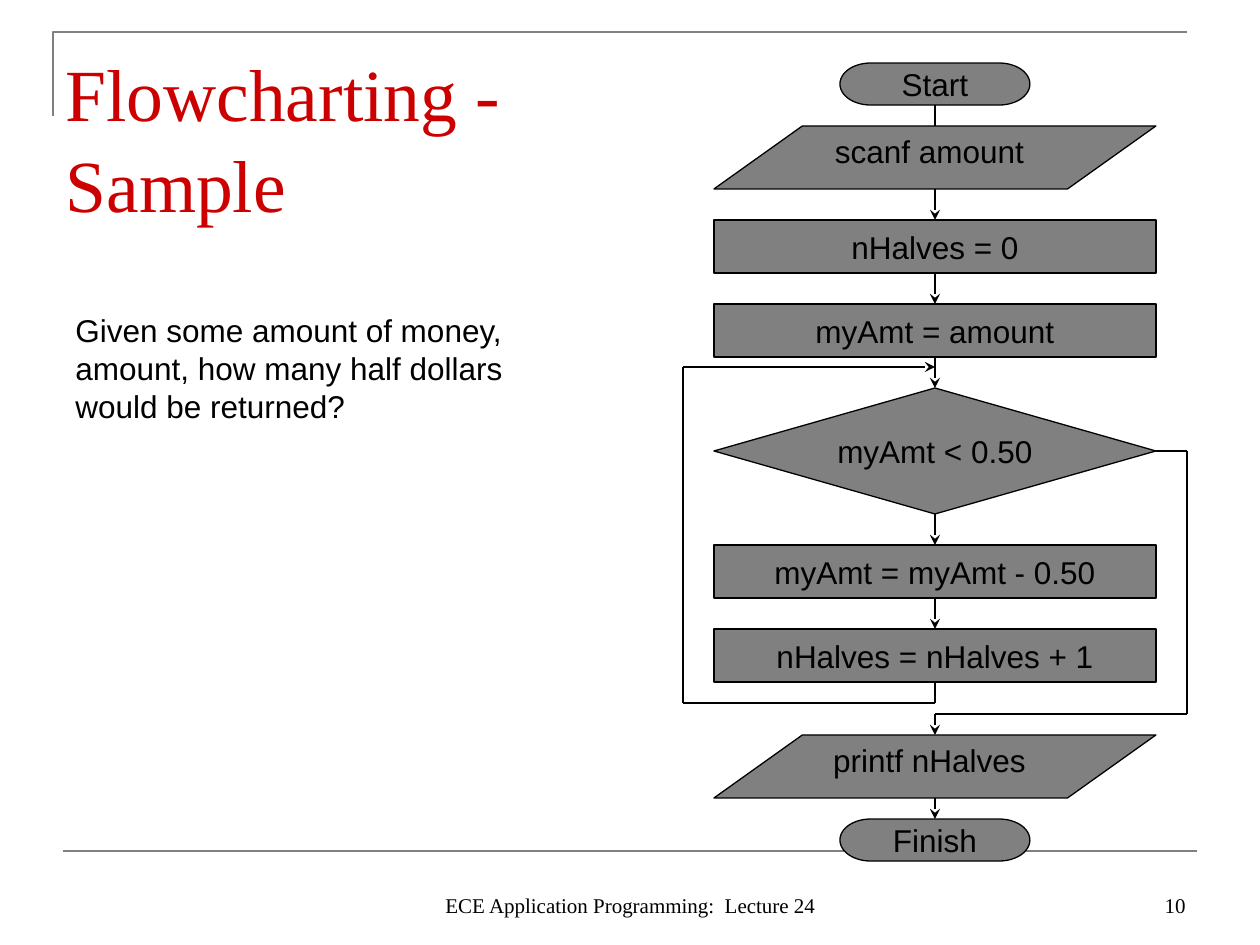
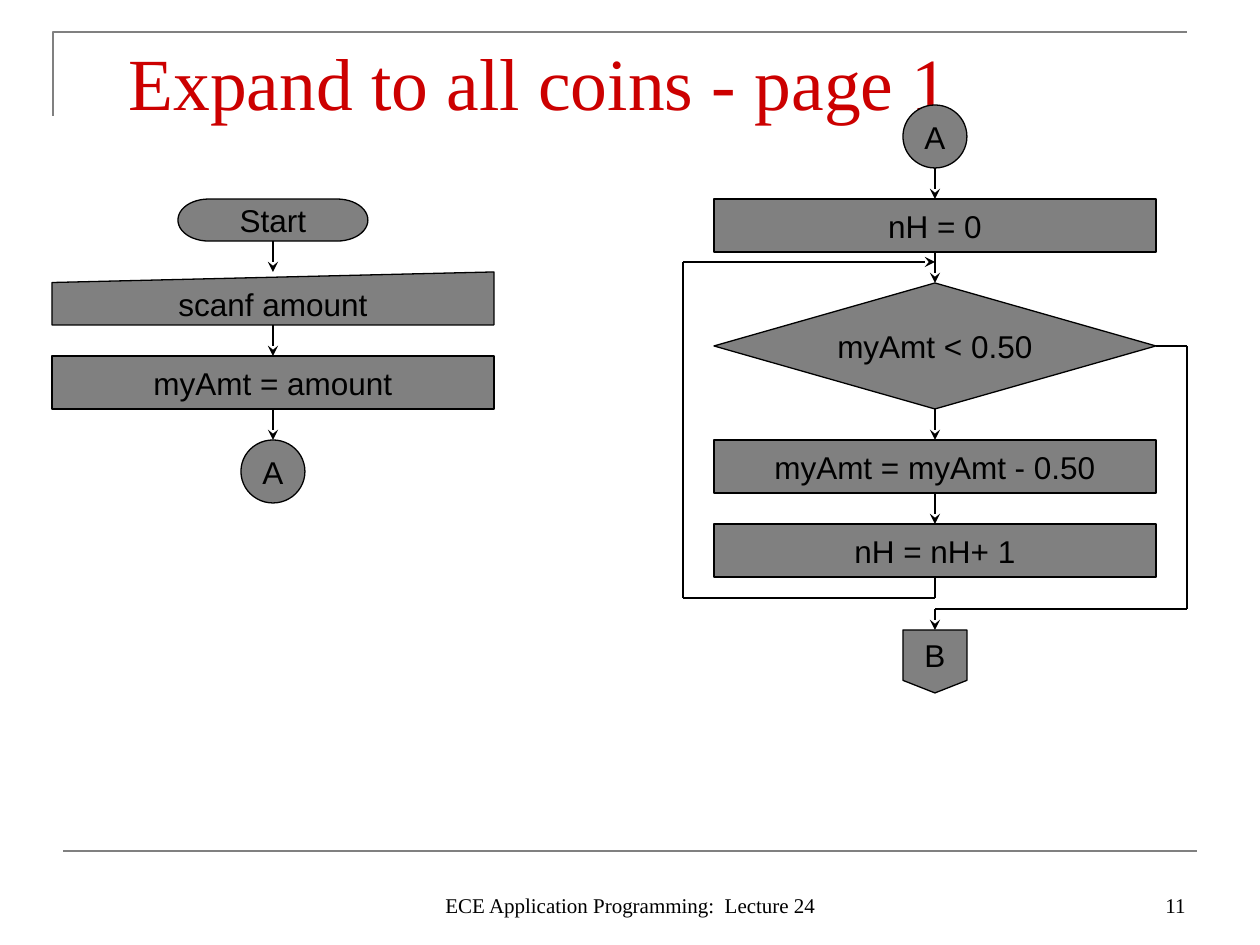
from itertools import pairwise

from lxml.etree import SubElement
from pptx import Presentation
from pptx.dml.color import RGBColor
from pptx.enum.shapes import MSO_CONNECTOR, MSO_SHAPE as SHAPE
from pptx.enum.text import MSO_ANCHOR as ANCHOR, MSO_AUTO_SIZE as AUTO, PP_ALIGN as ALIGN
from pptx.oxml.ns import qn
from pptx.util import Pt

PX = 914400 / 126
COLOURS = {"title": "CC0000", "frame": "808080", "node": "808080", "ink": "000000"}
SANS, SERIF = "Arial", "Times New Roman"
FOOTER = "ECE Application Programming:  Lecture 24"

GAP = 31
LEFT_COLUMN, RIGHT_COLUMN = 273, 935
LOOP_REACH = 252
STEP_WIDTH = 442
SIZES = {
    SHAPE.FLOWCHART_TERMINATOR: (190, 42),
    SHAPE.FLOWCHART_PROCESS: (STEP_WIDTH, 53),
    SHAPE.FLOWCHART_MANUAL_INPUT: (STEP_WIDTH, 53),
    SHAPE.FLOWCHART_DECISION: (STEP_WIDTH, 126),
    SHAPE.FLOWCHART_DATA: (STEP_WIDTH, 63),
    SHAPE.FLOWCHART_CONNECTOR: (64, 63),
    SHAPE.FLOWCHART_OFFPAGE_CONNECTOR: (64, 63),
}


def emu(*pixels):
    return [round(value * PX) for value in pixels]


def colour(name):
    return RGBColor.from_string(COLOURS[name])


def write(frame, text, size, font, ink="ink", align=ALIGN.LEFT, anchor=ANCHOR.TOP):
    frame.text = text
    frame.vertical_anchor = anchor
    paragraph = frame.paragraphs[0]
    paragraph.alignment = align
    for run in paragraph.runs:
        run.font.size = Pt(size)
        run.font.name = font
        run.font.color.rgb = colour(ink)


def add_text(shapes, box, text, size, font, **style):
    frame = shapes.add_textbox(*emu(*box)).text_frame
    frame.word_wrap = True
    write(frame, text, size, font, **style)
    return frame


def add_line(slide, start, end, ink="ink", width=1.25, arrow=False):
    line = slide.shapes.add_connector(MSO_CONNECTOR.STRAIGHT, *emu(*start, *end))
    line.line.color.rgb = colour(ink)
    line.line.width = Pt(width)
    if arrow:
        SubElement(line.line._get_or_add_ln(), qn("a:tailEnd"), type="stealth")
    SubElement(line._element.spPr, qn("a:effectLst"))


def add_route(slide, points, arrow=False):
    for start, end in pairwise(points):
        add_line(slide, start, end, arrow=arrow and end == points[-1])


def add_frame(slide):
    builder = slide.shapes.build_freeform(53, 116, scale=PX)
    builder.add_line_segments([(53, 32), (1187, 32)], close=False)
    corner = builder.convert_to_shape()
    corner.shadow.inherit = False
    corner.fill.background()
    corner.line.color.rgb = colour("frame")
    corner.line.width = Pt(1.5)
    add_line(slide, (63, 851), (1197, 851), "frame", 1.5)


def add_page(deck, title, title_box, number):
    slide = deck.slides.add_slide(deck.slide_layouts[5])
    add_frame(slide)
    heading = slide.shapes.title
    heading.left, heading.top, heading.width, heading.height = emu(*title_box)
    frame = heading.text_frame
    write(frame, title, 42, SERIF, "title")
    frame.word_wrap = True
    frame.auto_size = AUTO.NONE
    frame.margin_top = emu(12)[0]
    frame.paragraphs[0].line_spacing = 1.04
    add_text(slide.shapes, (904, 861, 294, 63), str(number), 12, SERIF,
             align=ALIGN.RIGHT, anchor=ANCHOR.BOTTOM)
    add_text(slide.shapes, (431, 861, 399, 63), FOOTER, 12, SERIF,
             align=ALIGN.CENTER, anchor=ANCHOR.BOTTOM)
    return slide


def add_node(shapes, kind, centre, top, text=""):
    width, height = SIZES[kind]
    node = shapes.add_shape(kind, *emu(centre - width // 2, top, width, height))
    node.shadow.inherit = False
    node.fill.solid()
    node.fill.fore_color.rgb = colour("node")
    node.line.color.rgb = colour("ink")
    node.line.width = Pt(0.74)
    if text:
        node.text_frame.word_wrap = False
        write(node.text_frame, text, 18, SANS, align=ALIGN.CENTER, anchor=ANCHOR.MIDDLE)
    return top + height


def add_data_step(slide, centre, top, text):
    group = slide.shapes.add_group_shape()
    bottom = add_node(group.shapes, SHAPE.FLOWCHART_DATA, centre, top)
    add_text(group.shapes, (centre - STEP_WIDTH // 2, top, 431, 50), text, 18, SANS,
             align=ALIGN.CENTER)
    return bottom


def add_column(slide, centre, top, steps):
    spans = []
    for kind, text in steps:
        if spans:
            add_line(slide, (centre, top - GAP), (centre, top), arrow=True)
        bottom = add_node(slide.shapes, kind, centre, top, text)
        spans.append((top, bottom))
        top = bottom + GAP
    return spans


def add_loop(slide, centre, decision, last_step):
    decision_top, decision_bottom = decision
    end = last_step[1]
    middle = (decision_top + decision_bottom) // 2
    left, right = centre - LOOP_REACH, centre + LOOP_REACH
    back, turn, leave, after = decision_top - 21, end + 21, end + 32, end + 53
    add_route(slide, [(centre, end), (centre, turn), (left, turn), (left, back),
                      (centre, back)], arrow=True)
    add_route(slide, [(centre + STEP_WIDTH // 2, middle), (right, middle), (right, leave),
                      (centre, leave), (centre, after)], arrow=True)
    return after


def build_sample(deck):
    slide = add_page(deck, "Flowcharting - Sample", (53, 32, 599, 168), 10)
    question = add_text(
        slide.shapes, (63, 305, 504, 126),
        "Given some amount of money, amount, how many half dollars would be returned?",
        18, SANS)
    question.paragraphs[0].space_before = Pt(11.2)

    centre = RIGHT_COLUMN
    start = add_node(slide.shapes, SHAPE.FLOWCHART_TERMINATOR, centre, 63, "Start")
    add_line(slide, (centre, start), (centre, start + GAP), arrow=True)
    read = add_data_step(slide, centre, 126, "scanf amount")
    add_line(slide, (centre, read), (centre, read + GAP), arrow=True)
    spans = add_column(slide, centre, read + GAP, [
        (SHAPE.FLOWCHART_PROCESS, "nHalves = 0"),
        (SHAPE.FLOWCHART_PROCESS, "myAmt = amount"),
        (SHAPE.FLOWCHART_DECISION, "myAmt < 0.50"),
        (SHAPE.FLOWCHART_PROCESS, "myAmt = myAmt - 0.50"),
        (SHAPE.FLOWCHART_PROCESS, "nHalves = nHalves + 1"),
    ])
    after = add_loop(slide, centre, spans[2], spans[-1])
    finish = after + 84
    add_line(slide, (centre, finish - GAP), (centre, finish), arrow=True)
    add_node(slide.shapes, SHAPE.FLOWCHART_TERMINATOR, centre, finish, "Finish")
    add_data_step(slide, centre, after, "printf nHalves")


def build_all_coins(deck):
    slide = add_page(deck, "Expand to all coins - page 1", (116, 21, 1040, 74), 11)
    add_column(slide, LEFT_COLUMN, 199, [
        (SHAPE.FLOWCHART_TERMINATOR, "Start"),
        (SHAPE.FLOWCHART_MANUAL_INPUT, "scanf amount"),
        (SHAPE.FLOWCHART_PROCESS, "myAmt = amount"),
        (SHAPE.FLOWCHART_CONNECTOR, "A"),
    ])
    spans = add_column(slide, RIGHT_COLUMN, 105, [
        (SHAPE.FLOWCHART_CONNECTOR, "A"),
        (SHAPE.FLOWCHART_PROCESS, "nH = 0"),
        (SHAPE.FLOWCHART_DECISION, "myAmt < 0.50"),
        (SHAPE.FLOWCHART_PROCESS, "myAmt = myAmt - 0.50"),
        (SHAPE.FLOWCHART_PROCESS, "nH = nH+ 1"),
    ])
    after = add_loop(slide, RIGHT_COLUMN, spans[2], spans[-1])
    add_node(slide.shapes, SHAPE.FLOWCHART_OFFPAGE_CONNECTOR, RIGHT_COLUMN, after, "B")


def main():
    deck = Presentation()
    deck.slide_width, deck.slide_height = emu(1260, 945)
    build_sample(deck)
    build_all_coins(deck)
    deck.save("out.pptx")


main()
